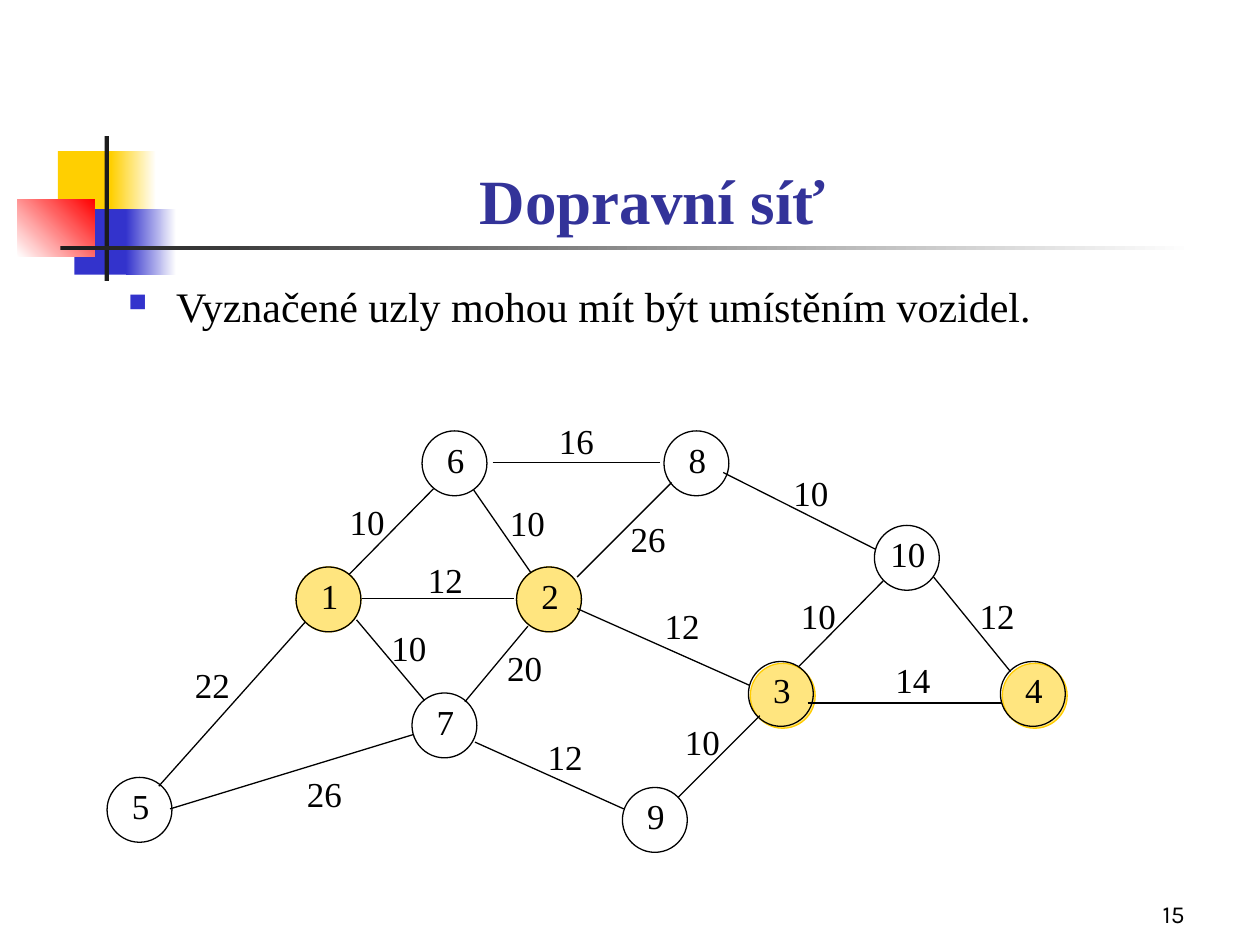
from dataclasses import dataclass
from lxml import etree
from pptx import Presentation
from pptx.dml.color import RGBColor
from pptx.enum import shapes, text
from pptx.oxml import ns
from pptx.util import Inches, Pt


@dataclass(frozen=True)
class Theme:
    serif: str = "Times New Roman"
    sans: str = "Karla"
    black: str = "000000"
    white: str = "FFFFFF"
    dark: str = "1C1C1C"
    gold: str = "FFCF01"
    blue: str = "3333CC"
    red: str = "FF0000"
    navy: str = "333399"
    mark: str = "FFCC00"
    title: int = 36
    body: int = 24
    graph: int = 20
    foot: int = 14
    line: float = 0.75


T = Theme()
COLS, ROWS = 100, 75
WIDE, HIGH = Inches(10), Inches(7.5)
NODE = 5.15

NODES = {
    1: (15, 10.8), 2: (32.5, 10.8), 3: (50.9, 18.3), 4: (70.9, 18.3),
    5: (0, 27.5), 6: (25, 0), 7: (24.2, 20.8), 8: (44.2, 0),
    9: (40.9, 28.3), 10: (60.9, 7.5),
}
MARKS = {1: 0, 2: 0, 3: 0.15, 4: 0.15}
EDGES = [
    ((4.1, 28.2), (15.7, 15.2), 22, (5, 18)),
    ((5, 30), (24.3, 24.1), 26, (13.9, 26.6)),
    ((19.8, 15), (25.2, 21.4), 10, (20.6, 15)),
    ((19.2, 11.4), (25.9, 4.6), 10, (17.3, 5)),
    ((20.2, 13.3), (32.3, 13.3), 12, (23.5, 9.6)),
    ((37.3, 14.1), (51, 20.2), 12, (42.3, 13.3)),
    ((55.6, 21.6), (71, 21.6), 14, (60.6, 17.6)),
    ((28.4, 21.5), (33.4, 15.5), 20, (29.8, 16.6)),
    ((29.2, 24.7), (41, 30), 12, (33, 23.7)),
    ((45.3, 29.1), (51.8, 22.6), 10, (43.9, 22.5)),
    ((30.6, 2.5), (43.9, 2.5), 16, (33.9, -1.4)),
    ((29.1, 4.7), (33.6, 11.2), 10, (30, 5.1)),
    ((37.3, 11.6), (44.8, 4.1), 26, (39.6, 6.4)),
    ((48.9, 3.3), (61, 9.4), 10, (52.5, 2.7)),
    ((54.9, 18.7), (61.6, 11.9), 10, (53.1, 12.5)),
    ((65.6, 11.6), (71.7, 19.1), 12, (67.3, 12.5)),
]


def grid(x, y):
    return round(WIDE * x / COLS), round(HIGH * y / ROWS)


def shift(box, x, y, w, h):
    return box[0] + x, box[1] + y, w, h


def rgb(hue):
    return RGBColor.from_string(hue)


def shape(slide, kind, box, fill=None, fade=None, angle=0, line=None):
    item = slide.shapes.add_shape(kind, *grid(*box[:2]), *grid(*box[2:]))
    item.shadow.inherit = False
    if fade:
        item.fill.gradient()
        item.fill.gradient_angle = angle
        for stop, hue in zip(item.fill.gradient_stops, (fill, fade)):
            stop.color.rgb = rgb(hue)
    elif fill:
        item.fill.solid()
        item.fill.fore_color.rgb = rgb(fill)
    else:
        item.fill.background()
    if line:
        item.line.color.rgb = rgb(line)
        item.line.width = Pt(T.line)
    else:
        item.line.fill.background()
    return item


def bullet(para):
    props = para._p.get_or_add_pPr()
    props.set("marL", str(Inches(0.38)))
    props.set("indent", str(-Inches(0.38)))
    tint = etree.SubElement(props, ns.qn("a:buClr"))
    etree.SubElement(tint, ns.qn("a:srgbClr"), val=T.blue)
    etree.SubElement(props, ns.qn("a:buSzPct"), val="60000")
    etree.SubElement(props, ns.qn("a:buChar"), char="■")


def write(slide, box, words, size, align="CENTER", anchor="TOP",
          hue=T.black, face=T.serif, bold=False, dot=False):
    item = slide.shapes.add_textbox(*grid(*box[:2]), *grid(*box[2:]))
    frame = item.text_frame
    frame.word_wrap = True
    frame.vertical_anchor = text.MSO_ANCHOR[anchor]
    para = frame.paragraphs[0]
    para.text = str(words)
    para.alignment = text.PP_ALIGN[align]
    if dot:
        bullet(para)
    font = para.font
    font.name, font.size, font.bold = face, Pt(size), bold
    font.color.rgb = rgb(hue)


def crest(slide, box):
    rect = shapes.MSO_SHAPE.RECTANGLE
    for part, fill, fade, angle in (
        ((3.2, 1.2, 4.8, 5.2), T.gold, None, 0),
        ((7.4, 1.2, 3.6, 5.2), T.gold, T.white, 0),
        ((4.5, 5.8, 4.6, 5.2), T.blue, None, 0),
        ((8.6, 5.8, 4, 5.2), T.blue, T.white, 0),
        ((0, 5, 6.1, 4.6), T.white, T.red, 45),
        ((6.9, 0, 0.35, 11.5), T.dark, None, 0),
        ((3.4, 8.7, 90, 0.35), T.dark, T.white, 0),
    ):
        shape(slide, rect, shift(box, *part), fill, fade, angle)


def edge(slide, box, start, end):
    ends = [grid(box[0] + x, box[1] + y) for x, y in (start, end)]
    item = slide.shapes.add_connector(
        shapes.MSO_CONNECTOR.STRAIGHT, *ends[0], *ends[1])
    item.line.color.rgb = rgb(T.black)
    item.line.width = Pt(T.line)
    etree.SubElement(item._element.spPr, ns.qn("a:effectLst"))


def graph(slide, box):
    oval = shapes.MSO_SHAPE.OVAL
    for name, gap in MARKS.items():
        x, y = NODES[name]
        spot = shift(box, x + gap, y + gap, NODE, NODE)
        disc = shape(slide, oval, spot, T.mark, line=T.mark)
        tint = disc.fill._xPr.find(ns.qn("a:solidFill"))[0]
        etree.SubElement(tint, ns.qn("a:alpha"), val="50000")
    for name, (x, y) in NODES.items():
        shape(slide, oval, shift(box, x, y, NODE, NODE), line=T.black)
        write(slide, shift(box, x - 0.25, y + 0.1, 5.8, 4.4), name, T.graph)
    for start, end, cost, spot in EDGES:
        edge(slide, box, start, end)
        write(slide, shift(box, *spot, 6.7, 4.4), cost, T.graph)


def main():
    deck = Presentation()
    deck.slide_width, deck.slide_height = WIDE, HIGH
    slide = deck.slides.add_slide(deck.slide_layouts[6])
    crest(slide, (1.4, 10.8))
    write(slide, (74.2, 69.2, 20.8, 5), 15, T.foot, "RIGHT", "BOTTOM",
          face=T.sans)
    write(slide, (9.2, 4.2, 85.2, 15.1), "Dopravní síť", T.title,
          anchor="BOTTOM", hue=T.navy, bold=True)
    write(slide, (9.2, 21.8, 85, 10.3),
          "Vyznačené uzly mohou mít být umístěním vozidel.",
          T.body, "LEFT", dot=True)
    graph(slide, (8.5, 34.2))
    deck.save("out.pptx")


if __name__ == "__main__":
    main()
